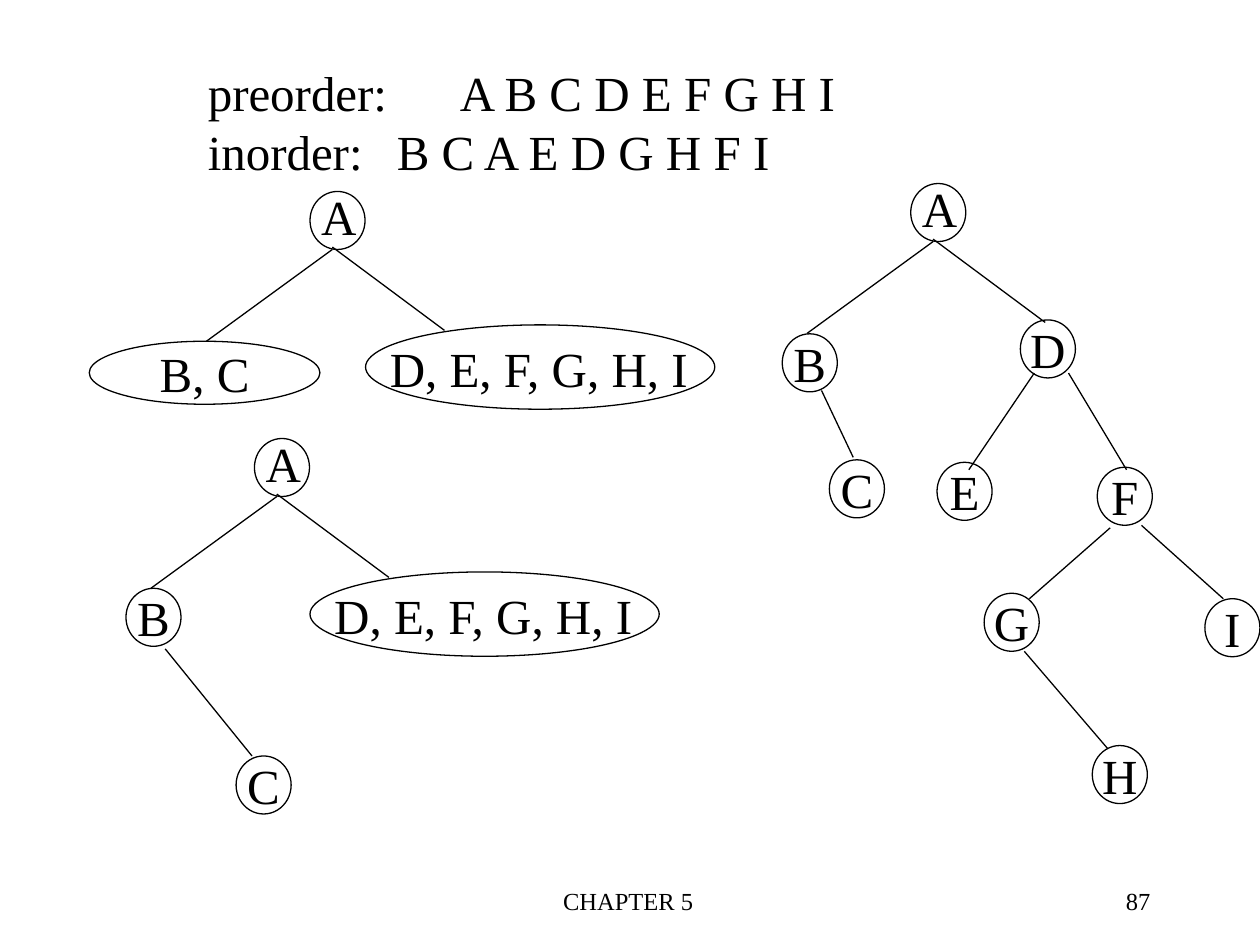
from pptx import Presentation
from pptx.dml.color import RGBColor
from pptx.enum.shapes import MSO_CONNECTOR, MSO_SHAPE
from pptx.enum.text import MSO_ANCHOR, PP_ALIGN
from pptx.oxml.ns import qn
from pptx.util import Cm, Pt
from lxml import etree

ELLIPSE = MSO_SHAPE.OVAL
STRAIGHT = MSO_CONNECTOR.STRAIGHT
TOP, MIDDLE = MSO_ANCHOR.TOP, MSO_ANCHOR.MIDDLE
LEFT, CENTER, RIGHT = PP_ALIGN.LEFT, PP_ALIGN.CENTER, PP_ALIGN.RIGHT

COLORS = {"ink": "000000"}
NODE_WIDTH, NODE_HEIGHT = 1.11, 1.17
GROUP_WIDTH, GROUP_HEIGHT = 7.04, 1.7


class TreeSlide:
    font = "Times New Roman"
    body_size = 28
    footer_size = 14
    line_width = 0.75

    def __init__(self, presentation):
        self.slide = presentation.slides.add_slide(presentation.slide_layouts[6])
        self.ink = RGBColor.from_string(COLORS["ink"])

    def fill_text(self, shape, lines, size, align, anchor=TOP, wrap=False):
        frame = shape.text_frame
        frame.word_wrap = wrap
        frame.vertical_anchor = anchor
        paragraph = frame.paragraphs[0]
        paragraph.alignment = align
        for index, line in enumerate(lines):
            if index:
                paragraph.add_line_break()
            run = paragraph.add_run()
            run.text = line
            run.font.name = self.font
            run.font.size = Pt(size)
            run.font.color.rgb = self.ink
        return paragraph

    def text(self, left, top, width, height, lines, align=CENTER):
        box = self.slide.shapes.add_textbox(Cm(left), Cm(top), Cm(width), Cm(height))
        self.fill_text(box, lines, self.body_size, align)

    def footer(self, left, width, text, align):
        box = self.slide.shapes.add_textbox(Cm(left), Cm(17.73), Cm(width), Cm(1.27))
        paragraph = self.fill_text(box, [text], self.footer_size, align, wrap=True)
        paragraph.space_before = Pt(8.8)

    def ellipse(self, left, top, width=NODE_WIDTH, height=NODE_HEIGHT, label=None):
        shape = self.slide.shapes.add_shape(
            ELLIPSE, Cm(left), Cm(top), Cm(width), Cm(height))
        shape.shadow.inherit = False
        shape.fill.background()
        shape.line.color.rgb = self.ink
        shape.line.width = Pt(self.line_width)
        if label:
            self.fill_text(shape, [label], self.body_size, CENTER, MIDDLE)

    def edge(self, x1, y1, x2, y2):
        line = self.slide.shapes.add_connector(STRAIGHT, Cm(x1), Cm(y1), Cm(x2), Cm(y2))
        line.line.color.rgb = self.ink
        line.line.width = Pt(self.line_width)
        etree.SubElement(line._element.spPr, qn("a:effectLst"))

    def root(self, left, top):
        self.ellipse(left, top)
        self.text(left - 0.03, top - 0.23, 1.22, 1.45, ["A"])
        fork = left + 0.45
        self.edge(fork, top + 1.17, fork - 2.54, top + 3.02)
        self.edge(fork, top + 1.12, fork + 2.26, top + 2.8)

    def group(self, left, top, label):
        self.ellipse(left, top, GROUP_WIDTH, GROUP_HEIGHT)
        self.text(left + 0.2, top + 0.14, 6.58, 1.45, [label])


def main():
    presentation = Presentation()
    presentation.slide_width, presentation.slide_height = Cm(25.4), Cm(19.05)
    tree = TreeSlide(presentation)

    tree.footer(8.64, 8.05, "CHAPTER 5", CENTER)
    tree.footer(18.16, 5.28, "87", RIGHT)
    tree.text(3.94, 1.14, 13.21, 2.64,
              ["preorder: \tA B C D E F G H I", "inorder:\tB C A E D G H F I"], LEFT)

    for left, top in [(6.25, 3.86), (5.13, 8.84), (18.36, 3.7)]:
        tree.root(left, top)

    tree.ellipse(1.8, 6.88, 4.65, 1.27, "B, C")
    for left, top in [(7.37, 6.55), (6.25, 11.53)]:
        tree.group(left, top, "D, E, F, G, H, I")

    nodes = [
        ("B", 2.54, 11.86), ("C", 4.76, 15.24),
        ("B", 15.77, 6.73), ("C", 16.72, 9.27),
        ("D", 20.57, 6.45), ("E", 18.89, 9.32),
        ("F", 22.12, 9.42), ("G", 19.84, 11.96),
        ("I", 24.29, 12.07), ("H", 22.02, 15.03),
    ]
    for label, left, top in nodes:
        tree.ellipse(left, top, label=label)

    edges = [
        (3.33, 13.08, 5.08, 15.24), (16.56, 7.87, 17.2, 9.22),
        (20.85, 7.52, 19.53, 9.47), (21.54, 7.52, 22.71, 9.47),
        (22.38, 10.64, 20.75, 12.07), (23.01, 10.59, 24.66, 12.07),
        (20.65, 13.13, 22.33, 15.09),
    ]
    for edge in edges:
        tree.edge(*edge)

    presentation.save("out.pptx")


if __name__ == "__main__":
    main()
